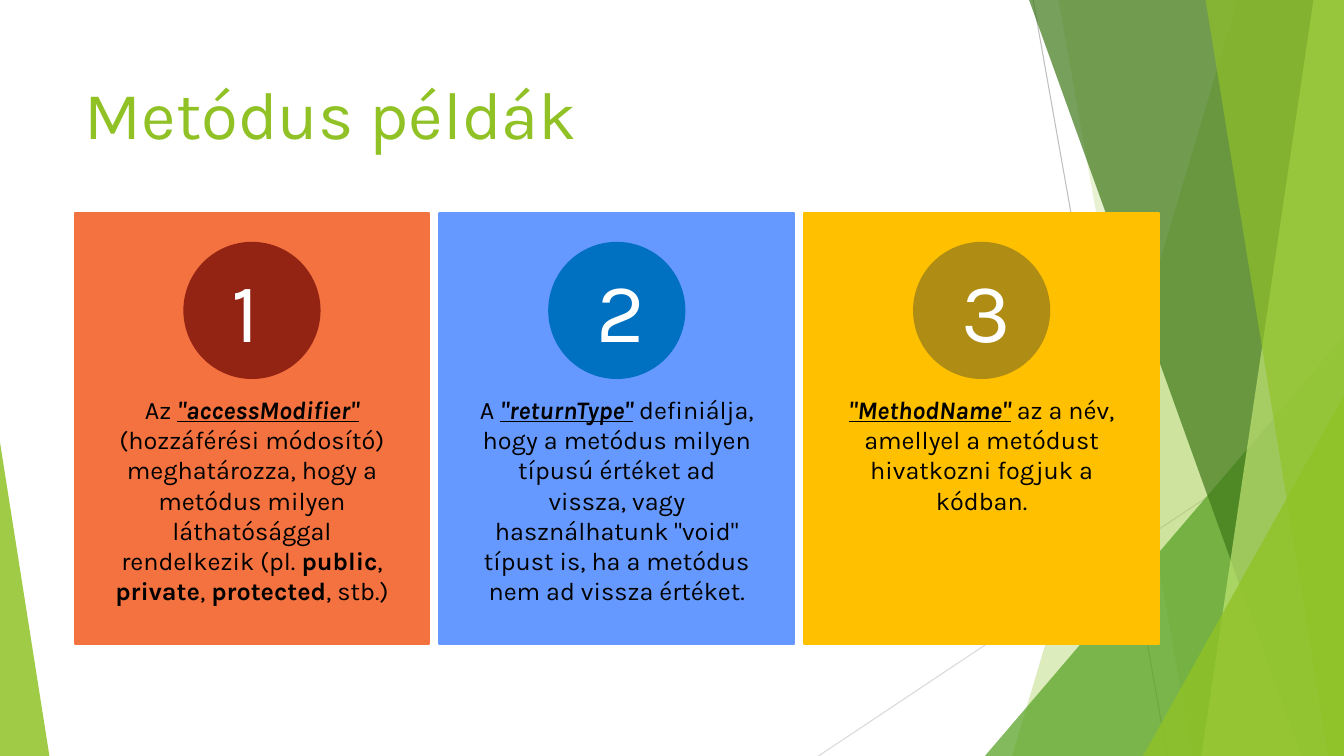
"""Builds the slide that explains the three parts of a method declaration."""
from dataclasses import dataclass

from lxml import etree
from pptx import Presentation
from pptx.dml.color import RGBColor
from pptx.enum.shapes import MSO_CONNECTOR, MSO_SHAPE
from pptx.enum.text import MSO_ANCHOR, MSO_AUTO_SIZE, PP_ALIGN
from pptx.oxml.ns import qn
from pptx.util import Pt

STRAIGHT = MSO_CONNECTOR.STRAIGHT
RECTANGLE, OVAL = MSO_SHAPE.RECTANGLE, MSO_SHAPE.OVAL
TRIANGLE = MSO_SHAPE.ISOSCELES_TRIANGLE
TOP = MSO_ANCHOR.TOP
LEFT, CENTER = PP_ALIGN.LEFT, PP_ALIGN.CENTER
NO_FIT, GROW = MSO_AUTO_SIZE.NONE, MSO_AUTO_SIZE.SHAPE_TO_FIT_TEXT

PAGE_WIDTH, PAGE_HEIGHT = 960, 540
CARD_LEFT, CARD_TOP, CARD_WIDTH, CARD_HEIGHT = 53.3, 152, 253.4, 308
CARD_STEP = 260.6
CIRCLE_TOP, CIRCLE_SIZE = 173.5, 96.5
NUMBER_INDENT, NUMBER_TOP, NUMBER_WIDTH, NUMBER_HEIGHT = 105, 181.4, 43.2, 80
TEXT_TOP, TEXT_WIDTH = 278, 210.2


@dataclass(frozen=True)
class Theme:
    """Colours, font and type sizes of the slide."""
    font: str = "Karla"
    title_size: int = 48
    number_size: int = 60
    body_size: int = 18
    green: str = "90C226"
    mid_green: str = "54A021"
    dark_green: str = "3F7819"
    light_green: str = "C0E474"
    gray: str = "BFBFBF"
    light_gray: str = "D9D9D9"
    white: str = "FFFFFF"
    black: str = "000000"
    orange: str = "F3723F"
    dark_red: str = "932313"
    light_blue: str = "6699FF"
    blue: str = "0070C0"
    yellow: str = "FFC000"
    olive: str = "AF8C14"


class SlideBuilder:
    """Holds the theme and the current slide and adds its elements."""

    def __init__(self, page, theme):
        self.page = page
        self.theme = theme

    def paint(self, shape, color, opacity=100, line_width=0):
        """Fill a shape and give it an outline of the same colour or none."""
        shape.shadow.inherit = False
        shape.fill.solid()
        shape.fill.fore_color.rgb = RGBColor.from_string(color)
        if opacity < 100:
            tint = shape.element.spPr.find(qn("a:solidFill"))[0]
            etree.SubElement(tint, qn("a:alpha"), val=str(opacity * 1000))
        if line_width:
            shape.line.color.rgb = RGBColor.from_string(color)
            shape.line.width = Pt(line_width)
        else:
            shape.line.fill.background()

    def line(self, start, end, color):
        """Add a thin straight line."""
        points = [Pt(value) for value in (*start, *end)]
        connector = self.page.shapes.add_connector(STRAIGHT, *points)
        connector.line.color.rgb = RGBColor.from_string(color)
        connector.line.width = Pt(0.75)
        etree.SubElement(connector.element.spPr, qn("a:effectLst"))

    def facet(self, top_left, bottom_left, color, opacity):
        """Add a see-through panel that reaches the right edge of the page."""
        outline = self.page.shapes.build_freeform(Pt(top_left), 0)
        corners = [(PAGE_WIDTH, 0), (PAGE_WIDTH, PAGE_HEIGHT), (bottom_left, PAGE_HEIGHT)]
        outline.add_line_segments([(Pt(x), Pt(y)) for x, y in corners], close=True)
        self.paint(outline.convert_to_shape(), color, opacity)

    def triangle(self, left, top, width, apex, color, opacity):
        """Add a see-through triangle that stands on the bottom edge."""
        shape = self.page.shapes.add_shape(
            TRIANGLE, Pt(left), Pt(top), Pt(width), Pt(PAGE_HEIGHT - top))
        shape.adjustments[0] = apex
        self.paint(shape, color, opacity)

    def shape(self, kind, left, top, width, height, color):
        """Add an opaque preset shape."""
        shape = self.page.shapes.add_shape(kind, Pt(left), Pt(top), Pt(width), Pt(height))
        self.paint(shape, color, line_width=1.5)

    def add_spans(self, frame, spans, size, color, align):
        """Add styled runs; the style letters are b, i and u."""
        frame.word_wrap = True
        frame.vertical_anchor = TOP
        para = frame.paragraphs[0]
        para.alignment = align
        for text, style in spans:
            span = para.add_run()
            span.text = text
            span.font.name = self.theme.font
            span.font.size = Pt(size)
            span.font.color.rgb = RGBColor.from_string(color)
            span.font.bold = "b" in style
            span.font.italic = "i" in style
            span.font.underline = "u" in style

    def title(self, text, left, top, width, height):
        """Place and fill the title placeholder."""
        box = self.page.shapes.title
        box.left, box.top, box.width, box.height = Pt(left), Pt(top), Pt(width), Pt(height)
        box.text_frame.auto_size = NO_FIT
        self.add_spans(box.text_frame, [(text, "")], self.theme.title_size,
                       self.theme.green, LEFT)

    def text(self, left, top, width, height, spans, size, color, align):
        """Add a text box that grows with its text."""
        box = self.page.shapes.add_textbox(Pt(left), Pt(top), Pt(width), Pt(height))
        box.text_frame.auto_size = GROW
        self.add_spans(box.text_frame, spans, size, color, align)

    def card(self, number, color, circle_color, text_height, spans):
        """Add a numbered card with its explanation."""
        left = CARD_LEFT + (number - 1) * CARD_STEP
        circle_left = left + (CARD_WIDTH - CIRCLE_SIZE) / 2
        text_left = left + (CARD_WIDTH - TEXT_WIDTH) / 2
        self.shape(RECTANGLE, left, CARD_TOP, CARD_WIDTH, CARD_HEIGHT, color)
        self.shape(OVAL, circle_left, CIRCLE_TOP, CIRCLE_SIZE, CIRCLE_SIZE, circle_color)
        self.text(left + NUMBER_INDENT, NUMBER_TOP, NUMBER_WIDTH, NUMBER_HEIGHT,
                  [(str(number), "")], self.theme.number_size, self.theme.white, LEFT)
        self.text(text_left, TEXT_TOP, TEXT_WIDTH, text_height,
                  spans, self.theme.body_size, self.theme.black, CENTER)


def main():
    """Build and save the deck."""
    theme = Theme()
    deck = Presentation()
    deck.slide_width, deck.slide_height = Pt(PAGE_WIDTH), Pt(PAGE_HEIGHT)
    builder = SlideBuilder(deck.slides.add_slide(deck.slide_layouts[5]), theme)

    builder.line((738, 0), (833.8, PAGE_HEIGHT), theme.gray)
    builder.line((PAGE_WIDTH, 290), (584.6, PAGE_HEIGHT), theme.light_gray)
    builder.facet(884.2, 722.9, theme.green, 30)
    builder.facet(756, 851.8, theme.green, 20)
    builder.triangle(703.5, 240, 256.5, 1, theme.mid_green, 72)
    builder.facet(735.1, 929.5, theme.dark_green, 70)
    builder.facet(938.2, 858.2, theme.light_green, 70)
    builder.facet(861.1, 949, theme.green, 65)
    builder.triangle(816.5, 283, 143.5, 1, theme.green, 80)
    builder.triangle(0, 316, 35.3, 0, theme.green, 85)

    builder.title("Metódus példák", 53.3, 48.2, 676.8, 103.7)

    cards = [
        (theme.orange, theme.dark_red, 204, [
            ("Az ", ""),
            ('"accessModifier" ', "biu"),
            ("(hozzáférési módosító) meghatározza, hogy a metódus milyen "
             "láthatósággal rendelkezik (pl. ", ""),
            ("public", "b"),
            (", ", ""),
            ("private", "b"),
            (", ", ""),
            ("protected", "b"),
            (", stb.)", ""),
        ]),
        (theme.light_blue, theme.blue, 160, [
            ("A ", ""),
            ('"returnType"', "biu"),
            (" definiálja, hogy a metódus milyen típusú értéket ad vissza, vagy "
             'használhatunk "void" típust is, ha a metódus nem ad vissza értéket.', ""),
        ]),
        (theme.yellow, theme.olive, 94, [
            ('"MethodName"', "biu"),
            (" az a név, amellyel a metódust hivatkozni fogjuk a kódban.", ""),
        ]),
    ]
    for number, card in enumerate(cards, start=1):
        builder.card(number, *card)

    deck.save("out.pptx")


if __name__ == "__main__":
    main()
